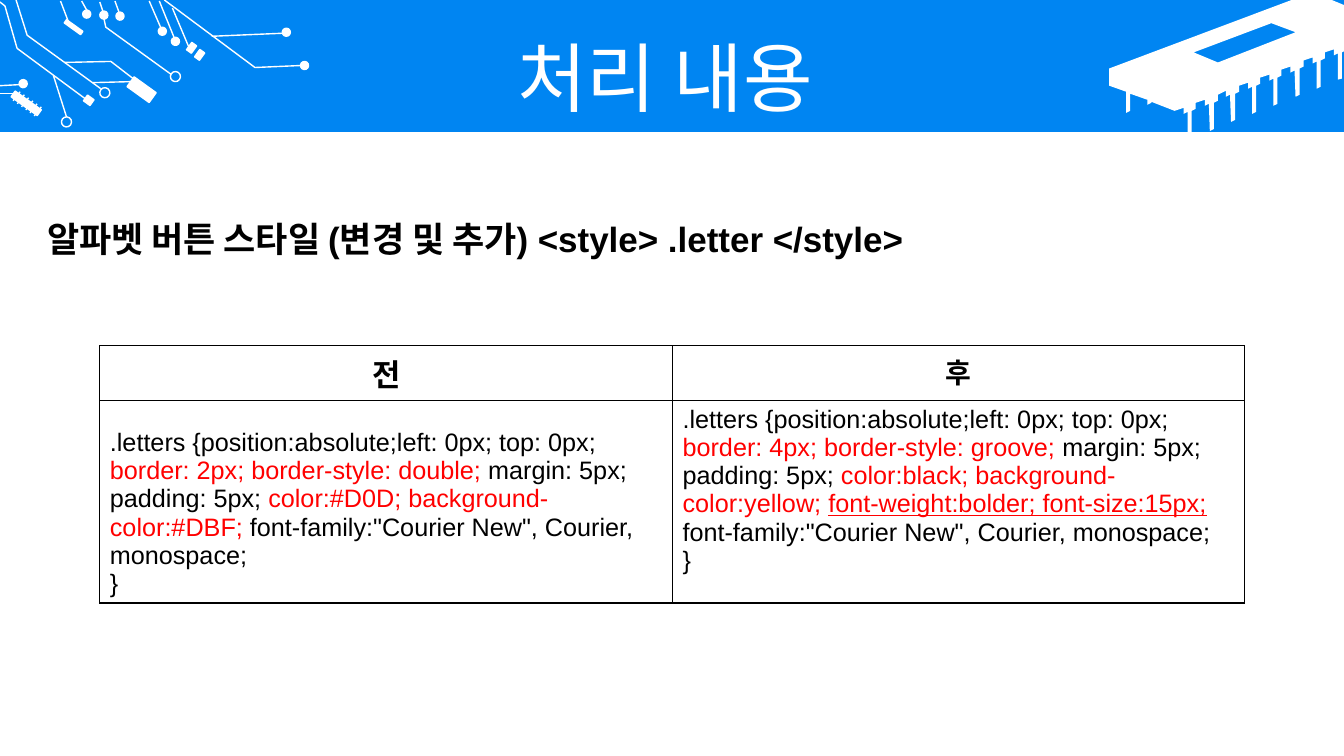
from typing import NamedTuple
from lxml import etree
from pptx import Presentation
from pptx.dml.color import RGBColor
from pptx.enum.shapes import MSO_CONNECTOR, MSO_SHAPE
from pptx.enum.text import MSO_ANCHOR, MSO_AUTO_SIZE, PP_ALIGN
from pptx.oxml.ns import qn
from pptx.util import Inches, Pt

RECT, OVAL = MSO_SHAPE.RECTANGLE, MSO_SHAPE.OVAL
LINE = MSO_CONNECTOR.STRAIGHT
LEFT, CENTER = PP_ALIGN.LEFT, PP_ALIGN.CENTER
MIDDLE = MSO_ANCHOR.MIDDLE
FIXED = MSO_AUTO_SIZE.NONE

COLS, ROWS = 1333, 750
UNIT = Inches(0.01)
TILT = 35.7
FONT = "Arial"
HUES = {"blue": "0085F2", "white": "FFFFFF", "black": "000000", "red": "FF0000"}

Point = tuple[float, float]


class Part(NamedTuple):
    kind: int
    box: tuple[int, int, int, int]
    fill: str = "white"
    tilt: float = TILT
    edge: str = "white"


class Wire(NamedTuple):
    start: Point
    end: Point


class Span(NamedTuple):
    text: str
    hue: str = "black"
    under: bool = False


class Cell(NamedTuple):
    lines: list[list[Span]]
    size: int
    bold: bool = False
    align: int = LEFT
    top: int = 5


def dots(size: int, fill: str, spots: list[tuple[int, int]]) -> list[Part]:
    return [Part(OVAL, (x, y, size, size), fill) for x, y in spots]


PARTS = [
    Part(RECT, (127, 83, 27, 12)),
    Part(RECT, (63, 25, 20, 4)),
    Part(RECT, (84, 96, 8, 7)),
    Part(RECT, (187, 43, 6, 9)),
    Part(RECT, (195, 50, 6, 9)),
    Part(RECT, (10, 99, 32, 7)),
    *dots(8, "white", [(298, 61), (280, 28), (82, 10), (99, 11), (115, 12),
                       (19, 79), (170, 37), (157, 27)]),
    *dots(10, "", [(169, 71), (99, 87), (61, 116)]),
]

WIRES = [
    Wire((60, 1), (68, 22)), Wire((81, 1), (86, 10)),
    Wire((99, 2), (102, 11)), Wire((114, 1), (118, 12)),
    Wire((148, 1), (161, 31)), Wire((158, 1), (173, 38)),
    Wire((210, 36), (280, 33)), Wire((171, 8), (187, 46)),
    Wire((0, 85), (19, 84)), Wire((0, 93), (14, 93)),
    Wire((53, 75), (66, 116)), Wire((92, 82), (130, 81)),
    *[Wire((13 + 4.2 * i, 100 + 3 * i), (20 + 4.2 * i, 91 + 3 * i)) for i in range(6)],
]

TRACES = [
    [(163, 0), (253, 67), (299, 65)],
    [(16, 0), (27, 35), (100, 88)],
    [(0, 2), (5, 6), (17, 48), (86, 99)],
    [(64, 62), (110, 61), (132, 78)],
    [(103, 18), (105, 27), (170, 74)],
]

PIN = [(0, 0), (-4, 2), (-4, -4), (-13, -1), (-13, 5), (-17, 7), (-17, 33), (-21, 35)]
PINS = [(1327 - 21.3 * i + x, 53 + 8.3 * i + y) for i in range(8) for x, y in PIN][:-4]
CHIP = [(1281, 0), (1321, 0), (1333, 5), (1333, 51), (1331, 52), (1331, 78), (1327, 79),
        *PINS, (1142, 101), (1142, 102), (1138, 104), (1138, 99), (1121, 93),
        (1121, 110), (1117, 112), (1117, 91), (1100, 85), (1100, 68)]
HOLE = [(1261, 23), (1184, 52), (1208, 62), (1285, 32)]

TABLE = (99, 343, 1135, 255)
WIDTHS, HEIGHTS = (568, 567), (54, 201)
HEAD = ".letters {position:absolute;left: 0px; top: 0px; "
GAP = " margin: 5px; padding: 5px; "
FACE = 'font-family:"Courier New", Courier, monospace;'
CELLS = [
    [Cell([[Span("전")]], 22, True, CENTER), Cell([[Span("후")]], 20, True, CENTER)],
    [
        Cell([[Span(HEAD), Span("border: 2px; border-style: double;", "red"), Span(GAP),
               Span("color:#D0D; background-color:#DBF;", "red"), Span(" " + FACE)],
              [Span("}")]], 18, top=28),
        Cell([[Span(HEAD), Span("border: 4px; border-style: groove;", "red"), Span(GAP),
               Span("color:black; background-color:yellow; ", "red"),
               Span("font-weight:bolder; font-size:15px;", "red", True),
               Span(" ", under=True), Span(FACE)],
              [Span("}")]], 18),
    ],
]


def grid(*cells: float) -> list[int]:
    return [round(n * UNIT) for n in cells]


def color(hue: str) -> RGBColor:
    return RGBColor.from_string(HUES[hue])


def paint(shape, fill: str, edge: str) -> None:
    shape.shadow.inherit = False
    if fill:
        shape.fill.solid()
        shape.fill.fore_color.rgb = color(fill)
    else:
        shape.fill.background()
    if edge:
        shape.line.color.rgb = color(edge)
        shape.line.width = Pt(1)
    else:
        shape.line.fill.background()


def place(shapes, part: Part):
    shape = shapes.add_shape(part.kind, *grid(*part.box))
    shape.rotation = part.tilt
    paint(shape, part.fill, part.edge)
    return shape


def wire(shapes, item: Wire) -> None:
    line = shapes.add_connector(LINE, *grid(*item.start, *item.end))
    line.line.color.rgb = color("white")
    line.line.width = Pt(1)
    etree.SubElement(line.element.spPr, qn("a:effectLst"))


def trace(shapes, paths: list[list[Point]], fill: str, edge: str) -> None:
    pen = shapes.build_freeform(*paths[0][0], scale=UNIT)
    pen.add_line_segments(paths[0][1:], close=bool(fill))
    for path in paths[1:]:
        pen.move_to(*path[0])
        pen.add_line_segments(path[1:], close=bool(fill))
    paint(pen.convert_to_shape(), fill, edge)


def write(para, spans: list[Span], size: int, bold: bool, align: int) -> None:
    para.alignment = align
    for span in spans:
        run = para.add_run()
        run.text = span.text
        run.font.name = FONT
        run.font.size = Pt(size)
        run.font.bold = bold
        run.font.underline = span.under
        run.font.color.rgb = color(span.hue)


def border(cell) -> None:
    props = cell._tc.get_or_add_tcPr()
    for side in ("a:lnL", "a:lnR", "a:lnT", "a:lnB"):
        line = etree.SubElement(props, qn(side), w=str(Pt(1)))
        fill = etree.SubElement(line, qn("a:solidFill"))
        etree.SubElement(fill, qn("a:srgbClr"), val=HUES["black"])


def fill_cell(cell, item: Cell) -> None:
    border(cell)
    cell.fill.solid()
    cell.fill.fore_color.rgb = color("white")
    cell.margin_top = grid(item.top)[0]
    frame = cell.text_frame
    for i, spans in enumerate(item.lines):
        para = frame.add_paragraph() if i else frame.paragraphs[0]
        write(para, spans, item.size, item.bold, item.align)


def add_title(title) -> None:
    title.element.getparent().append(title.element)
    title.left, title.top, title.width, title.height = grid(35, 42, 1266, 79)
    frame = title.text_frame
    frame.auto_size = FIXED
    frame.word_wrap = True
    frame.vertical_anchor = MIDDLE
    frame.paragraphs[0].line_spacing = 0.9
    write(frame.paragraphs[0], [Span("처리 내용 ", "white")], 54, False, CENTER)


def add_table(shapes) -> None:
    table = shapes.add_table(2, 2, *grid(*TABLE)).table
    table.first_row = table.horz_banding = False
    for col, width in zip(table.columns, grid(*WIDTHS)):
        col.width = width
    for r, (row, height) in enumerate(zip(table.rows, grid(*HEIGHTS))):
        row.height = height
        for c, item in enumerate(CELLS[r]):
            fill_cell(table.cell(r, c), item)


def main() -> None:
    deck = Presentation()
    deck.slide_width, deck.slide_height = grid(COLS, ROWS)
    slide = deck.slides.add_slide(deck.slide_layouts[5])
    shapes = slide.shapes
    place(shapes, Part(RECT, (0, 0, COLS, 131), "blue", 0, ""))
    trace(shapes, [CHIP, HOLE], "white", "")
    for part in PARTS:
        place(shapes, part)
    for item in WIRES:
        wire(shapes, item)
    for path in TRACES:
        trace(shapes, [path], "", "white")
    add_title(shapes.title)
    add_table(shapes)
    label = place(shapes, Part(RECT, (37, 189, 997, 96), tilt=0)).text_frame
    label.word_wrap = True
    label.vertical_anchor = MIDDLE
    words = "알파벳 버튼 스타일 (변경 및 추가) <style> .letter </style>"
    write(label.paragraphs[0], [Span(words)], 25, True, LEFT)
    deck.save("out.pptx")


if __name__ == "__main__":
    main()
